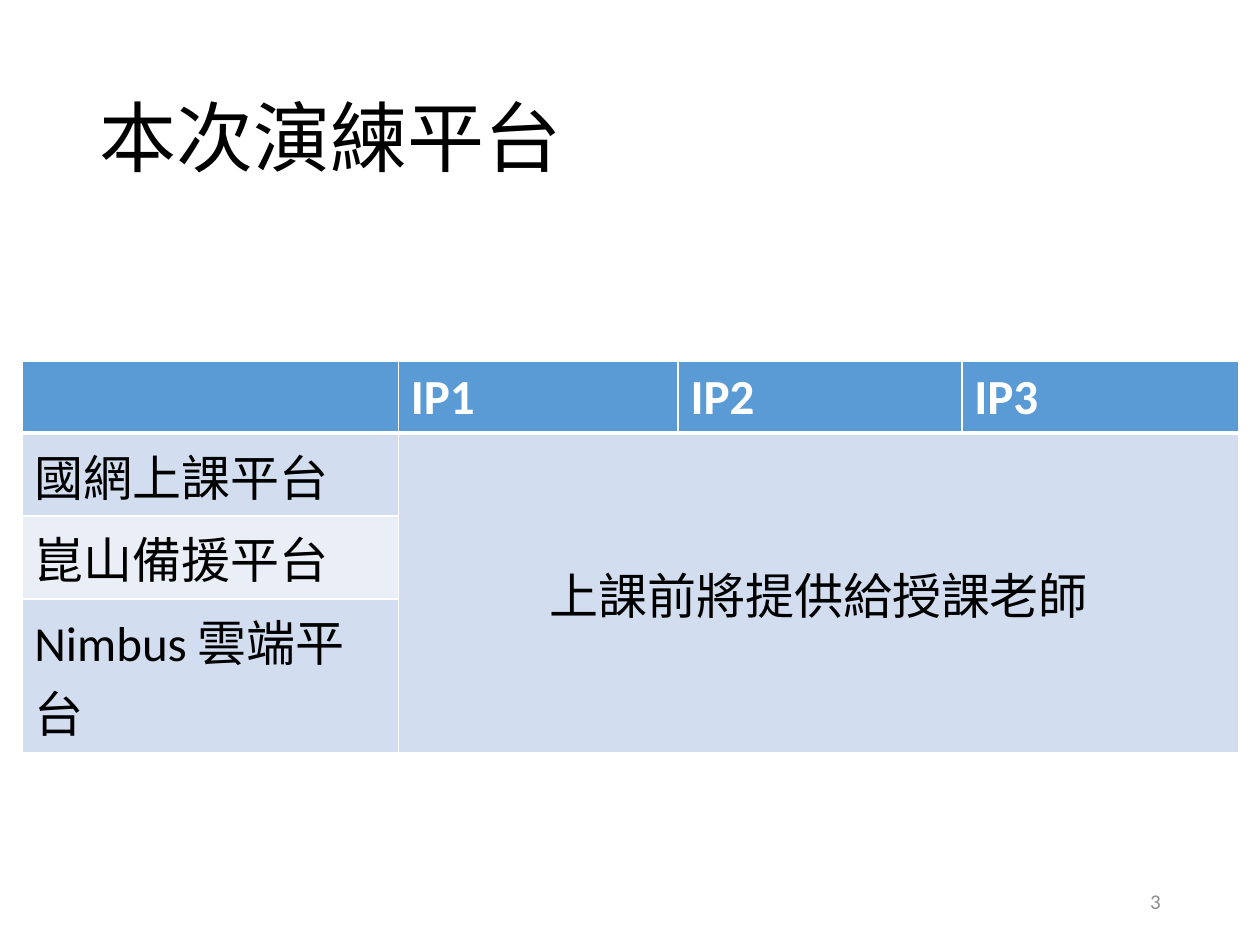
from lxml.etree import SubElement
from pptx import Presentation
from pptx.dml.color import RGBColor
from pptx.enum.text import MSO_ANCHOR, PP_ALIGN
from pptx.oxml.ns import qn
from pptx.util import Cm, Pt

COLORS = {
    "header": "5B9BD5",
    "band_dark": "D2DEEF",
    "band_light": "EAEFF7",
    "white": "FFFFFF",
    "black": "000000",
    "gray": "8C8C8C",
}
FONT = "Calibri"
COLUMN_WIDTHS = [7.59, 5.64, 5.72, 5.59]
ROW_HEIGHTS = [1.44, 1.67, 1.67, 3.1]
HEADINGS = ["", "IP1", "IP2", "IP3"]
PLATFORMS = ["國網上課平台", "崑山備援平台", "Nimbus 雲端平台"]
NOTICE = "上課前將提供給授課老師"


def write_text(frame, text, size, color, bold=False, align=PP_ALIGN.LEFT):
    para = frame.paragraphs[0]
    para.text = text
    para.alignment = align
    para.font.name = FONT
    para.font.size = Pt(size)
    para.font.bold = bold
    para.font.color.rgb = RGBColor.from_string(COLORS[color])
    return para


def add_text(page, left, top, width, height, text, size, color, align=PP_ALIGN.LEFT):
    box = page.shapes.add_textbox(Cm(left), Cm(top), Cm(width), Cm(height))
    frame = box.text_frame
    frame.word_wrap = True
    frame.vertical_anchor = MSO_ANCHOR.MIDDLE
    return write_text(frame, text, size, color, align=align)


def set_borders(cell, **widths):
    properties = cell._tc.get_or_add_tcPr()
    for side in "LRTB":
        line = SubElement(properties, qn(f"a:ln{side}"), w=str(Pt(widths.get(side, 1))))
        fill = SubElement(line, qn("a:solidFill"))
        SubElement(fill, qn("a:srgbClr"), val=COLORS["white"])


def fill_cell(cell, color):
    cell.fill.solid()
    cell.fill.fore_color.rgb = RGBColor.from_string(COLORS[color])


def add_platform_table(page):
    frame = page.shapes.add_table(
        len(ROW_HEIGHTS), len(COLUMN_WIDTHS),
        Cm(0.44), Cm(7.29), Cm(sum(COLUMN_WIDTHS)), Cm(sum(ROW_HEIGHTS)),
    )
    table = frame.table
    for column, width in zip(table.columns, COLUMN_WIDTHS):
        column.width = Cm(width)
    for row, height in zip(table.rows, ROW_HEIGHTS):
        row.height = Cm(height)

    # Header row, with a thick rule below it
    for column, heading in enumerate(HEADINGS):
        cell = table.cell(0, column)
        set_borders(cell, B=3)
        fill_cell(cell, "header")
        if heading:
            write_text(cell.text_frame, heading, 28, "white", bold=True)

    # Platform names in alternating bands
    for row, platform in enumerate(PLATFORMS, start=1):
        for column in range(len(HEADINGS)):
            cell = table.cell(row, column)
            set_borders(cell, T=3 if row == 1 else 1)
            fill_cell(cell, "band_light" if column == 0 and row % 2 == 0 else "band_dark")
        write_text(table.cell(row, 0).text_frame, platform, 28, "black")

    # One notice across all address cells
    notice = table.cell(1, 1)
    notice.merge(table.cell(len(PLATFORMS), len(HEADINGS) - 1))
    notice.vertical_anchor = MSO_ANCHOR.MIDDLE
    write_text(notice.text_frame, NOTICE, 28, "black", align=PP_ALIGN.CENTER)


def main():
    deck = Presentation()
    deck.slide_width, deck.slide_height = Cm(25.4), Cm(19.05)
    page = deck.slides.add_slide(deck.slide_layouts[6])

    # Title
    title = add_text(page, 1.75, 1.02, 21.9, 3.68, "本次演練平台", 44, "black")
    title.line_spacing = 0.9

    # Table
    add_platform_table(page)

    # Page number
    add_text(page, 17.93, 17.65, 5.72, 1.02, "3", 12, "gray", PP_ALIGN.RIGHT)

    deck.save("out.pptx")


if __name__ == "__main__":
    main()
